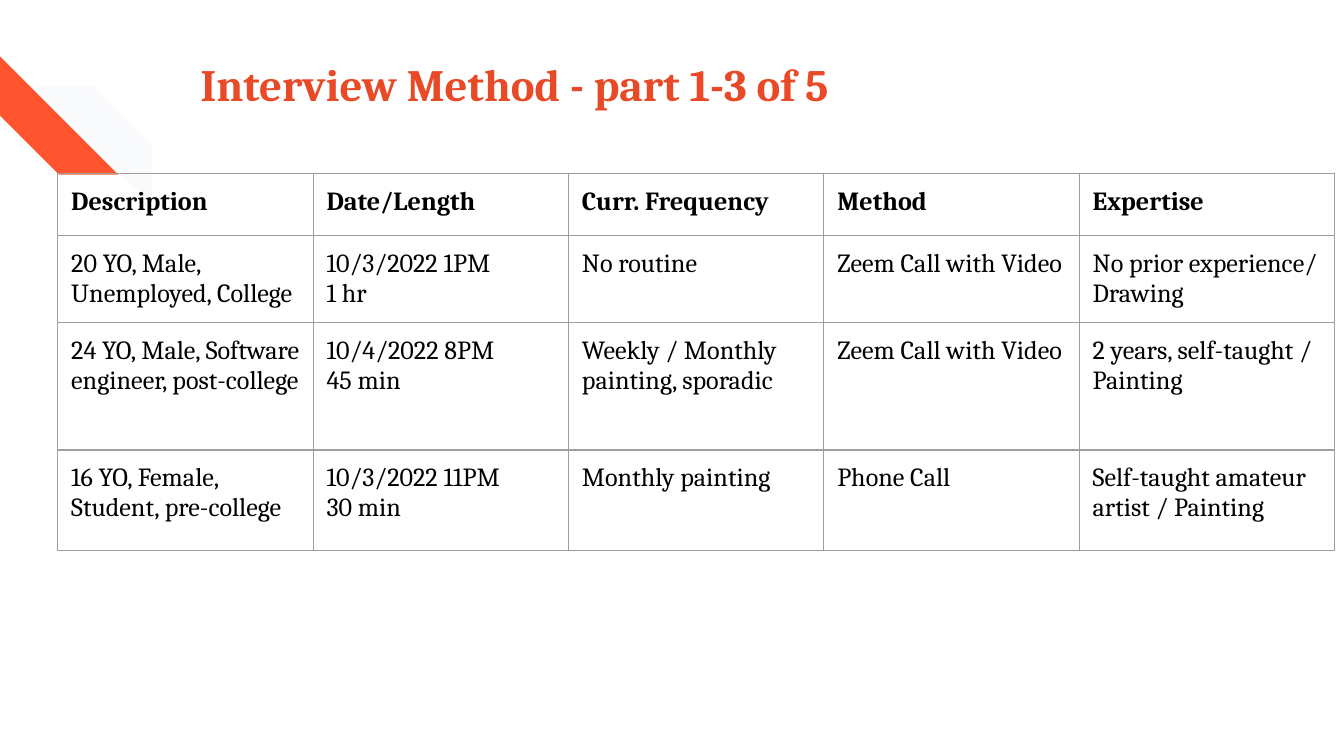
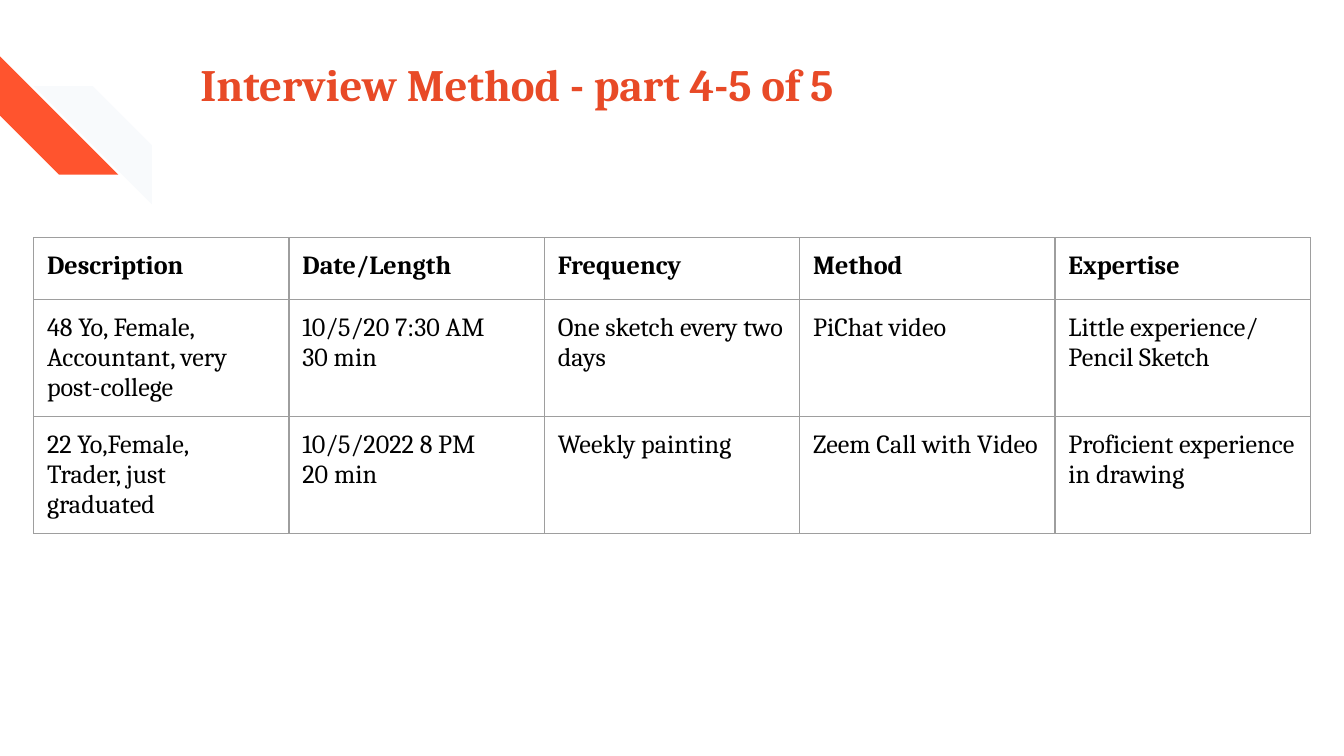
from lxml.etree import SubElement
from pptx import Presentation
from pptx.dml.color import RGBColor
from pptx.enum.shapes import MSO_SHAPE as Shape
from pptx.enum.text import MSO_ANCHOR as Anchor, MSO_AUTO_SIZE as AutoSize, PP_ALIGN as Align
from pptx.oxml.ns import qn
from pptx.util import Inches, Pt

# Shared style
FONT = "Cambria"
TITLE_COLOR, INK, RULE = "E84A27", "000000", "9E9E9E"
ORANGE, MIST, PAPER = "FF542E", "F8FAFC", "FFFFFF"
UNITS = 100  # grid columns across the slide; rows use the same step


def paint(fill, color):
    fill.solid()
    fill.fore_color.rgb = RGBColor.from_string(color)


def write(frame, text, size=14, color=INK, bold=False, spacing=None):
    """Fill a text frame, one paragraph for each line of text."""
    frame.word_wrap = True
    for index, line in enumerate(text.split("\n")):
        paragraph = frame.paragraphs[0] if index == 0 else frame.add_paragraph()
        paragraph.alignment = Align.LEFT
        paragraph.line_spacing = spacing
        run = paragraph.add_run()
        run.text = line
        run.font.name, run.font.size, run.font.bold = FONT, Pt(size), bold
        paint(run.font.fill, color)


def rule_cell(cell, color=RULE, width=0.75):
    """Draw all four borders of a table cell."""
    properties = cell._tc.get_or_add_tcPr()
    for side in ("a:lnL", "a:lnR", "a:lnT", "a:lnB"):
        border = SubElement(properties, qn(side), w=str(Pt(width)))
        fill = SubElement(border, qn("a:solidFill"))
        SubElement(fill, qn("a:srgbClr"), val=color)


class Deck:
    def __init__(self):
        self.show = Presentation()
        self.show.slide_width, self.show.slide_height = Inches(10), Inches(5.625)
        self.slide = None

    def grid(self, *units):
        step = self.show.slide_width / UNITS
        return [round(unit * step) for unit in units]

    def new_slide(self, title):
        self.slide = self.show.slides.add_slide(self.show.slide_layouts[5])
        paint(self.slide.background.fill, PAPER)
        self.stripe(0, 4.2, ORANGE, rotation=270)
        self.stripe(2.5, 6.4, MIST, flip=True)
        self.title(title)

    def stripe(self, column, row, color, rotation=0, flip=False, size=8.8):
        stripe = self.slide.shapes.add_shape(
            Shape.DIAGONAL_STRIPE, *self.grid(column, row, size, size))
        stripe.adjustments[0] = 0.5
        stripe.rotation = rotation
        stripe.shadow.inherit = False
        paint(stripe.fill, color)
        stripe.line.fill.background()
        if flip:
            stripe.element.spPr.find(qn("a:xfrm")).set("flipH", "1")

    def title(self, text):
        title = self.slide.shapes.title
        title.left, title.top, title.width, title.height = self.grid(14.2, 1.5, 77, 10)
        frame = title.text_frame
        frame.auto_size = AutoSize.NONE
        frame.vertical_anchor = Anchor.MIDDLE
        frame.margin_left = frame.margin_right = Inches(0.07)
        frame.margin_top = frame.margin_bottom = Inches(0.04)
        write(frame, text, size=24, color=TITLE_COLOR, bold=True, spacing=0.9)
        title.element.getparent().append(title.element)  # in front of the stripes

    def table(self, column, row, heights, records, column_width=19):
        count = len(records[0])
        box = self.grid(column, row, column_width * count, sum(heights))
        table = self.slide.shapes.add_table(len(records), count, *box).table
        table.first_row = table.horz_banding = False
        for table_column in table.columns:
            table_column.width = self.grid(column_width)[0]
        for r, (height, record) in enumerate(zip(heights, records)):
            table.rows[r].height = self.grid(height)[0]
            for c, text in enumerate(record):
                cell = table.cell(r, c)
                cell.margin_left = cell.margin_right = Inches(0.1)
                cell.margin_top = cell.margin_bottom = Inches(0.1)
                rule_cell(cell)
                cell.fill.background()
                write(cell.text_frame, text, bold=r == 0)


def header(frequency):
    return ("Description", "Date/Length", frequency, "Method", "Expertise")


VIDEO_CALL = "Zeem Call with Video"


def main():
    deck = Deck()

    # Interviews 1-3
    deck.new_slide("Interview Method - part 1-3 of 5")
    deck.table(4.3, 12.9, (4.6, 5.6, 9.5, 7.5), [
        header("Curr. Frequency"),
        ("20 YO, Male, Unemployed, College", "10/3/2022 1PM\n1 hr", "No routine",
         VIDEO_CALL, "No prior experience/ Drawing"),
        ("24 YO, Male, Software engineer, post-college", "10/4/2022 8PM\n45 min",
         "Weekly / Monthly painting, sporadic", VIDEO_CALL,
         "2 years, self-taught / Painting"),
        ("16 YO, Female, Student, pre-college", "10/3/2022 11PM\n30 min",
         "Monthly painting", "Phone Call", "Self-taught amateur artist / Painting"),
    ])

    # Interviews 4-5
    deck.new_slide("Interview Method - part 4-5 of 5")
    deck.table(2.5, 17.7, (4.6, 7.5, 7.5), [
        header("Frequency"),
        ("48 Yo, Female,\nAccountant, very post-college", "10/5/20 7:30 AM\n30 min",
         "One sketch every two days", "PiChat video", "Little experience/\nPencil Sketch"),
        ("22 Yo,Female,\nTrader, just graduated", "10/5/2022 8 PM\n20 min",
         "Weekly painting", VIDEO_CALL, "Proficient experience in drawing"),
    ])

    deck.show.save("out.pptx")


if __name__ == "__main__":
    main()
